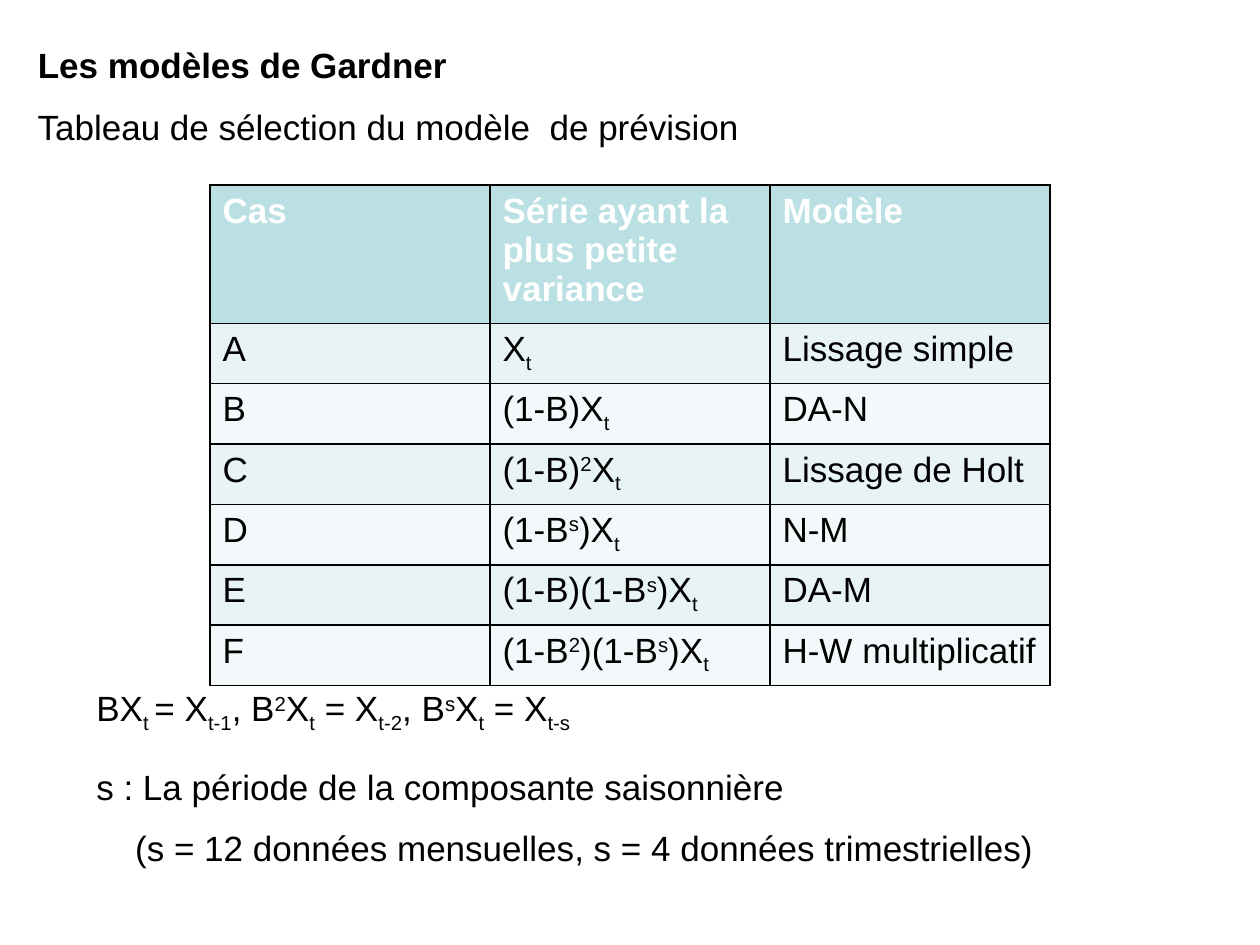
from lxml import etree
from pptx import Presentation
from pptx.dml.color import RGBColor
from pptx.enum import text as t
from pptx.oxml import ns
from pptx.util import Pt

BASELINES = {"_": "-25000", "^": "30000"}
HEADINGS = ["Cas", "Série ayant la plus petite variance", "Modèle"]
CASES = [
    ["A", "X|_t", "Lissage simple"],
    ["B", "(1-B)X|_t", "DA-N"],
    ["C", "(1-B)|^2|X|_t", "Lissage de Holt"],
    ["D", "(1-B|^s|)X|_t", "N-M"],
    ["E", "(1-B)(1-B|^s|)X|_t", "DA-M"],
    ["F", "(1-B|^2|)(1-B|^s|)X|_t", "H-W multiplicatif"],
]
LAGS = "BX|_t |= X|_t-1|, B|^2|X|_t| = X|_t-2|, B|^s|X|_t| = X|_t-s"


def color(value):
    """Turn a hex string into a colour."""
    return RGBColor.from_string(value)


def write(paragraph, content, size=20, fill="000000", bold=False, before=0, indent=0):
    """Write text whose parts, split by |, are lowered by _ or raised by ^."""
    paragraph.alignment = t.PP_ALIGN.LEFT
    paragraph.space_before = Pt(before)
    if indent:
        paragraph._p.get_or_add_pPr().set("marL", str(Pt(indent)))
    for part in content.split("|"):
        run = paragraph.add_run()
        run.text = part.lstrip("_^")
        run.font.name = "Arial"
        run.font.size = Pt(size)
        run.font.bold = bold
        run.font.color.rgb = color(fill)
        if part[0] in BASELINES:
            run._r.get_or_add_rPr().set("baseline", BASELINES[part[0]])


def set_frame(shape):
    """Make a text frame wrap and start at its top."""
    frame = shape.text_frame
    frame.word_wrap = True
    frame.auto_size = t.MSO_AUTO_SIZE.NONE
    frame.vertical_anchor = t.MSO_ANCHOR.TOP
    return frame


def add_title(slide, content, left, top, width, height):
    """Place and format the title."""
    title = slide.shapes.title
    title.left, title.top, title.width, title.height = map(Pt, (left, top, width, height))
    write(set_frame(title).paragraphs[0], content, bold=True)


def add_text(slide, lines, left, top, width, height):
    """Add a text box from pairs of text and format."""
    frame = set_frame(slide.shapes.add_textbox(*map(Pt, (left, top, width, height))))
    for index, (content, style) in enumerate(lines):
        paragraph = frame.add_paragraph() if index else frame.paragraphs[0]
        write(paragraph, content, **style)


def set_borders(cell, line="000000", width=1):
    """Draw the four sides of a cell, ahead of its fill."""
    properties = cell._tc.get_or_add_tcPr()
    for index, side in enumerate(("lnL", "lnR", "lnT", "lnB")):
        border = etree.Element(ns.qn("a:" + side), w=str(Pt(width)))
        solid = etree.SubElement(border, ns.qn("a:solidFill"))
        etree.SubElement(solid, ns.qn("a:srgbClr"), val=line)
        properties.insert(index, border)


def add_models(slide, left, top, width, header_height, row_height):
    """Add the table of models."""
    rows = [HEADINGS] + CASES
    height = header_height + row_height * len(CASES)
    box = map(Pt, (left, top, width, height))
    table = slide.shapes.add_table(len(rows), len(HEADINGS), *box).table
    for column in table.columns:
        column.width = Pt(width / len(HEADINGS))
    for index, values in enumerate(rows):
        table.rows[index].height = Pt(row_height if index else header_height)
        band = ("E7F3F4" if index % 2 else "F3F9FA") if index else "BBE0E3"
        for cell, content in zip(table.rows[index].cells, values):
            cell.fill.solid()
            cell.fill.fore_color.rgb = color(band)
            set_borders(cell)
            write(cell.text_frame.paragraphs[0], content,
                  fill="000000" if index else "FFFFFF", bold=index == 0)


def main():
    """Build the slide and save it."""
    presentation = Presentation()
    presentation.slide_width, presentation.slide_height = Pt(720), Pt(540)
    slide = presentation.slides.add_slide(presentation.slide_layouts[5])
    add_title(slide, "Les modèles de Gardner", 14.4, 21, 652, 31.5)
    add_text(slide, [("Tableau de sélection du modèle  de prévision", {})],
             14.4, 57, 623.5, 31.5)
    add_models(slide, 120, 105.8, 480, 79, 34.5)
    add_text(slide, [(LAGS, {})], 48, 389, 521, 31.5)
    add_text(slide, [
        ("s : La période de la composante saisonnière", {}),
        ("(s = 12 données mensuelles, s = 4 données trimestrielles)",
         {"before": 11, "indent": 22.2}),
    ], 48, 434, 556, 67)
    presentation.save("out.pptx")


if __name__ == "__main__":
    main()
